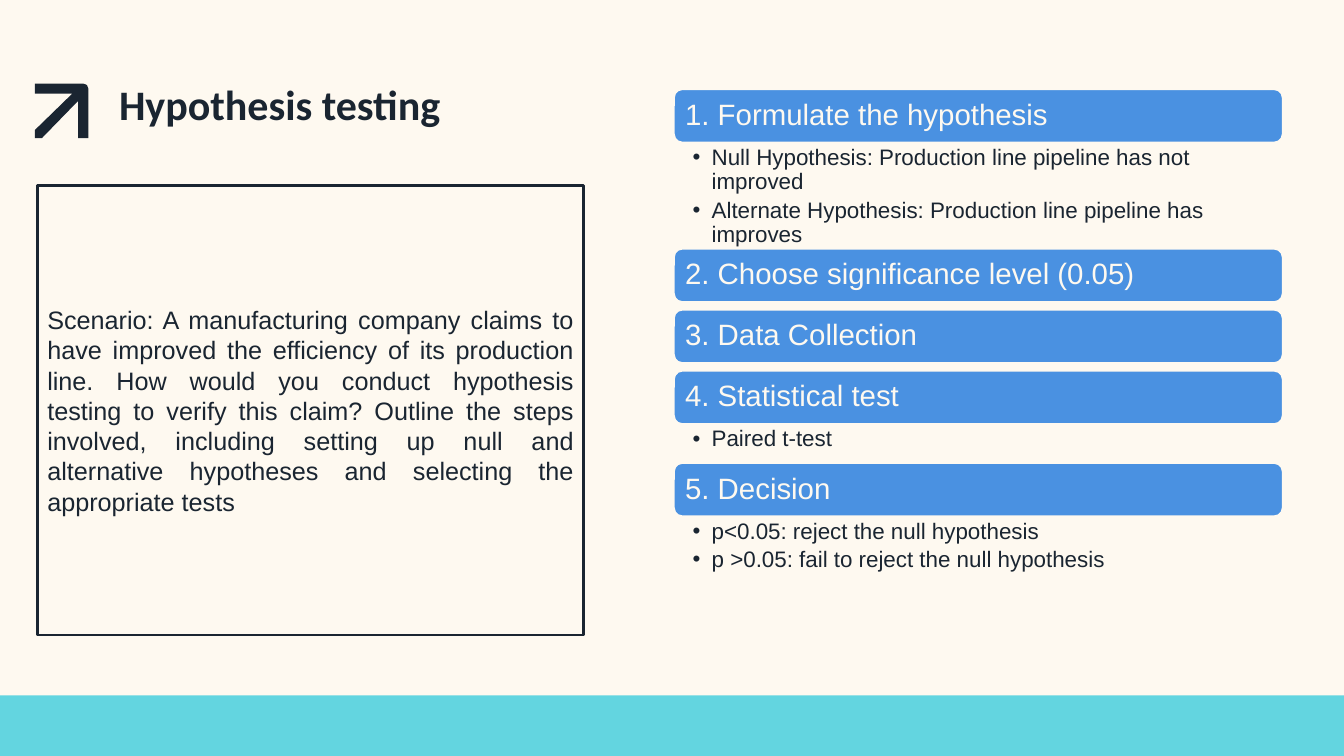
from typing import NamedTuple

from lxml import etree
from pptx import Presentation
from pptx import util as u
from pptx.dml.color import RGBColor
from pptx.enum import shapes, text
from pptx.oxml.ns import qn

COLOURS = {"cream": "FEF9F0", "navy": "1A2531", "blue": "4A91E1", "aqua": "63D5E0"}
WIDTH, HEIGHT = u.Inches(13.33), u.Inches(7.5)


class Area(NamedTuple):
    """A rectangle in percent of the slide's width and height."""
    left: float
    top: float
    width: float
    height: float

    def lengths(self) -> list[int]:
        sides = (WIDTH, HEIGHT, WIDTH, HEIGHT)
        return [round(side * share / 100) for side, share in zip(sides, self)]


class Step(NamedTuple):
    heading: str
    points: tuple[str, ...] = ()
    points_height: float = 0.87  # plain gap when there are no points


class Style(NamedTuple):
    font: str
    size: float
    colour: str
    bold: bool = False
    align: text.PP_ALIGN = text.PP_ALIGN.LEFT
    line_spacing: float = 1.0
    space_after: float = 0


TITLE = Style("Calibri", 30, "navy", bold=True)
SCENARIO = Style("Arial", 18, "navy", align=text.PP_ALIGN.JUSTIFY)
HEADING = Style("Arial", 21, "cream", line_spacing=0.9)
POINT = Style("Arial", 16, "navy", line_spacing=0.9, space_after=3.2)

STEPS_LEFT, STEPS_TOP, STEPS_WIDTH, BAR_HEIGHT = 50.1, 11.73, 45.38, 7.2
STEPS = (
    Step("1. Formulate the hypothesis",
         ("Null Hypothesis: Production line pipeline has not improved",
          "Alternate Hypothesis: Production line pipeline has improves"), 13.9),
    Step("2. Choose significance level (0.05)"),
    Step("3. Data Collection"),
    Step("4. Statistical test", ("Paired t-test",), 5),
    Step("5. Decision",
         ("p<0.05: reject the null hypothesis",
          "p >0.05: fail to reject the null hypothesis"), 7.6),
)
# Arrow outline in hundredths of an inch, with a rounded tip
ARROW = ((0, 0), (0, 10), (37, 10), (0, 46), (0, 54), (7, 54), (43, 17), (43, 54),
         (53, 54), (53, 5), (52.5, 2.5), (51, 1), (48, 0))


def colour(name: str) -> RGBColor:
    return RGBColor.from_string(COLOURS[name])


def place(shape, area: Area) -> None:
    shape.left, shape.top, shape.width, shape.height = area.lengths()


def paint(shape, fill: str, line: str | None = None) -> None:
    shape.shadow.inherit = False
    shape.fill.solid()
    shape.fill.fore_color.rgb = colour(fill)
    if line:
        shape.line.color.rgb = colour(line)
        shape.line.width = u.Pt(2)
    else:
        shape.line.fill.background()


def write(shape, words: str, style: Style, insets: tuple[float, float, float, float],
          anchor: text.MSO_ANCHOR) -> None:
    frame = shape.text_frame
    frame.text = words
    frame.word_wrap = True
    frame.auto_size = text.MSO_AUTO_SIZE.NONE
    frame.vertical_anchor = anchor
    (frame.margin_left, frame.margin_top,
     frame.margin_right, frame.margin_bottom) = map(u.Inches, insets)
    for para in frame.paragraphs:
        para.alignment = style.align
        para.line_spacing = style.line_spacing
        para.space_before = u.Pt(0)
        para.space_after = u.Pt(style.space_after)
        for span in para.runs:
            span.font.name = style.font
            span.font.size = u.Pt(style.size)
            span.font.bold = style.bold
            span.font.color.rgb = colour(style.colour)


def add_bullets(shape) -> None:
    indent = u.Inches(0.19)
    for para in shape.text_frame.paragraphs:
        properties = para._p.get_or_add_pPr()
        properties.set("marL", str(indent))
        properties.set("indent", str(-indent))
        etree.SubElement(properties, qn("a:buChar")).set("char", "•")


def add_box(page, kind: shapes.MSO_SHAPE, area: Area, fill: str, line: str | None = None):
    box = page.shapes.add_shape(kind, *area.lengths())
    paint(box, fill, line)
    return box


def add_steps(page, bodies: list) -> None:
    """Stack the bars; each list takes the next body placeholder."""
    top = STEPS_TOP
    free_bodies = iter(bodies)
    for step in STEPS:
        bar = add_box(page, shapes.MSO_SHAPE.ROUNDED_RECTANGLE,
                      Area(STEPS_LEFT, top, STEPS_WIDTH, BAR_HEIGHT), "blue", "cream")
        write(bar, step.heading, HEADING, (0.09,) * 4, text.MSO_ANCHOR.MIDDLE)
        top += BAR_HEIGHT
        if step.points:
            body = next(free_bodies)
            place(body, Area(STEPS_LEFT, top, STEPS_WIDTH, step.points_height))
            write(body, "\n".join(step.points), POINT, (0.19, 0.03, 0.16, 0.03),
                  text.MSO_ANCHOR.TOP)
            add_bullets(body)
        top += step.points_height
    for body in free_bodies:
        body.element.getparent().remove(body.element)


def main() -> None:
    deck = Presentation()
    deck.slide_width, deck.slide_height = WIDTH, HEIGHT
    page = deck.slides.add_slide(deck.slide_layouts.get_by_name("Comparison"))
    page.background.fill.solid()
    page.background.fill.fore_color.rgb = colour("cream")
    title = page.shapes.title
    bodies = [holder for holder in page.placeholders
              if holder.placeholder_format.idx != 0]

    # Bottom band and corner arrow
    add_box(page, shapes.MSO_SHAPE.RECTANGLE, Area(0, 92, 100, 8), "aqua")
    outline = page.shapes.build_freeform(*ARROW[0], scale=u.Inches(0.01))
    outline.add_line_segments(ARROW[1:], close=True)
    arrow_left, arrow_top, _, _ = Area(2.6, 11.07, 0, 0).lengths()
    paint(outline.convert_to_shape(arrow_left, arrow_top), "navy")

    # Title
    place(title, Area(7.88, 8.67, 33.98, 11.2))
    write(title, "Hypothesis testing", TITLE, (0.13,) * 4, text.MSO_ANCHOR.TOP)

    # Scenario
    scenario = add_box(page, shapes.MSO_SHAPE.RECTANGLE,
                       Area(2.78, 24.53, 40.65, 59.47), "cream", "navy")
    write(scenario,
          "Scenario: A manufacturing company claims to have improved the efficiency of "
          "its production line. How would you conduct hypothesis testing to verify this "
          "claim? Outline the steps involved, including setting up null and alternative "
          "hypotheses and selecting the appropriate tests",
          SCENARIO, (0.1, 0.05, 0.1, 0.05), text.MSO_ANCHOR.MIDDLE)

    # Numbered steps
    add_steps(page, bodies)
    deck.save("out.pptx")


if __name__ == "__main__":
    main()
